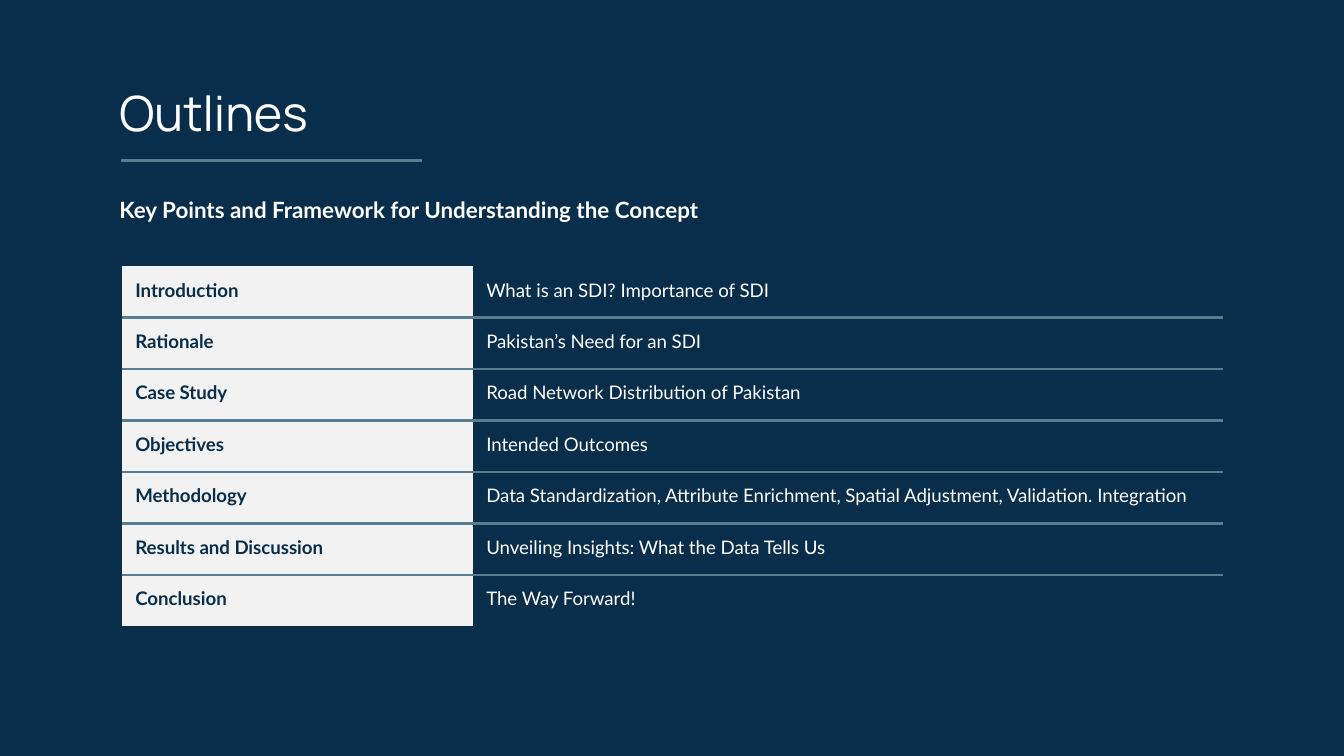
from typing import NamedTuple

from lxml.etree import SubElement
from pptx import Presentation
from pptx.dml.color import RGBColor
from pptx.enum.shapes import MSO_CONNECTOR
from pptx.enum.text import MSO_ANCHOR
from pptx.oxml import parse_xml
from pptx.oxml.ns import nsdecls, qn
from pptx.util import Pt

NAVY, WHITE, PALE, TEAL = "092E4B", "FFFFFF", "F2F2F2", "577D90"
NO_GRID = "{2D5ABB26-0587-4C30-8999-92F81FD0307C}"
LEFT, RULE = 64.8, 1.5
ROW_TALL = 27.57


class Topic(NamedTuple):
    name: str
    point: str


class Label(NamedTuple):
    text: str
    top: float
    tall: float
    size: float
    font: str
    bold: bool
    anchor: MSO_ANCHOR


TOPICS = [
    Topic("Introduction", "What is an SDI? Importance of SDI"),
    Topic("Rationale", "Pakistan’s Need for an SDI"),
    Topic("Case Study", "Road Network Distribution of Pakistan"),
    Topic("Objectives", "Intended Outcomes"),
    Topic("Methodology", "Data Standardization, Attribute Enrichment, "
          "Spatial Adjustment, Validation. Integration"),
    Topic("Results and Discussion", "Unveiling Insights: What the Data Tells Us"),
    Topic("Conclusion", "The Way Forward!"),
]
LABELS = [
    Label("Outlines", 36.7, 46.8, 26, "Manrope", False, MSO_ANCHOR.MIDDLE),
    Label("Key Points and Framework for Understanding the Concept",
          97.9, 27.4, 12, "Lato", True, MSO_ANCHOR.TOP),
]


def paint(part, color: str) -> None:
    """Give a fill one solid colour."""
    part.solid()
    part.fore_color.rgb = RGBColor.from_string(color)


def add_run(frame, text: str, size: float, font: str, color: str, bold: bool) -> None:
    run = frame.paragraphs[0].add_run()
    run.text = text
    run.font.size = Pt(size)
    run.font.name = font
    run.font.bold = bold
    paint(run.font.fill, color)


def add_label(slide, label: Label) -> None:
    box = slide.shapes.add_textbox(Pt(56.9), Pt(label.top), Pt(607), Pt(label.tall))
    frame = box.text_frame
    frame.word_wrap = True
    frame.vertical_anchor = label.anchor
    frame.margin_left = frame.margin_right = Pt(7.2)
    frame.margin_top = frame.margin_bottom = Pt(7.2)
    add_run(frame, label.text, label.size, label.font, WHITE, label.bold)


def add_edge(cell, side: str) -> None:
    """Draw a rule on the side T or B of a cell."""
    edge = parse_xml(
        f'<a:ln{side} {nsdecls("a")} w="{Pt(RULE)}"><a:solidFill>'
        f'<a:srgbClr val="{TEAL}"/></a:solidFill></a:ln{side}>')
    cell._tc.get_or_add_tcPr().insert(0, edge)


def fill_cell(cell, text: str, is_name: bool) -> None:
    cell.vertical_anchor = MSO_ANCHOR.MIDDLE
    cell.margin_left = cell.margin_right = cell.margin_bottom = Pt(7.2)
    cell.margin_top = Pt(5)
    if is_name:
        paint(cell.fill, PALE)
    else:
        cell.fill.background()
    add_run(cell.text_frame, text, 10, "Lato", NAVY if is_name else WHITE, is_name)


def add_topics(slide, topics: list[Topic]) -> None:
    count = len(topics)
    frame = slide.shapes.add_table(
        count, 2, Pt(LEFT + 0.5), Pt(142.6), Pt(589.7), Pt(ROW_TALL * count))
    table = frame.table
    table.first_row = table.horz_banding = False
    table._tbl.tblPr.find(qn("a:tableStyleId")).text = NO_GRID
    for col, wide in zip(table.columns, (188, 401.7)):
        col.width = Pt(wide)
    for i, topic in enumerate(topics):
        table.rows[i].height = Pt(ROW_TALL)
        for j, text in enumerate(topic):
            cell = table.cell(i, j)
            fill_cell(cell, text, j == 0)
            if i < count - 1:
                add_edge(cell, "B")
            if i > 0:
                add_edge(cell, "T")


def add_rule(slide) -> None:
    line = slide.shapes.add_connector(
        MSO_CONNECTOR.STRAIGHT, Pt(LEFT), Pt(86.2), Pt(226.2), Pt(86.2))
    paint(line.line.fill, TEAL)
    line.line.width = Pt(RULE)
    SubElement(line._element.spPr, qn("a:effectLst"))


def main() -> None:
    deck = Presentation()
    deck.slide_width, deck.slide_height = Pt(720), Pt(405)
    slide = deck.slides.add_slide(deck.slide_layouts[6])
    paint(slide.background.fill, NAVY)
    for label in LABELS:
        add_label(slide, label)
    add_topics(slide, TOPICS)
    add_rule(slide)
    deck.save("out.pptx")


if __name__ == "__main__":
    main()
